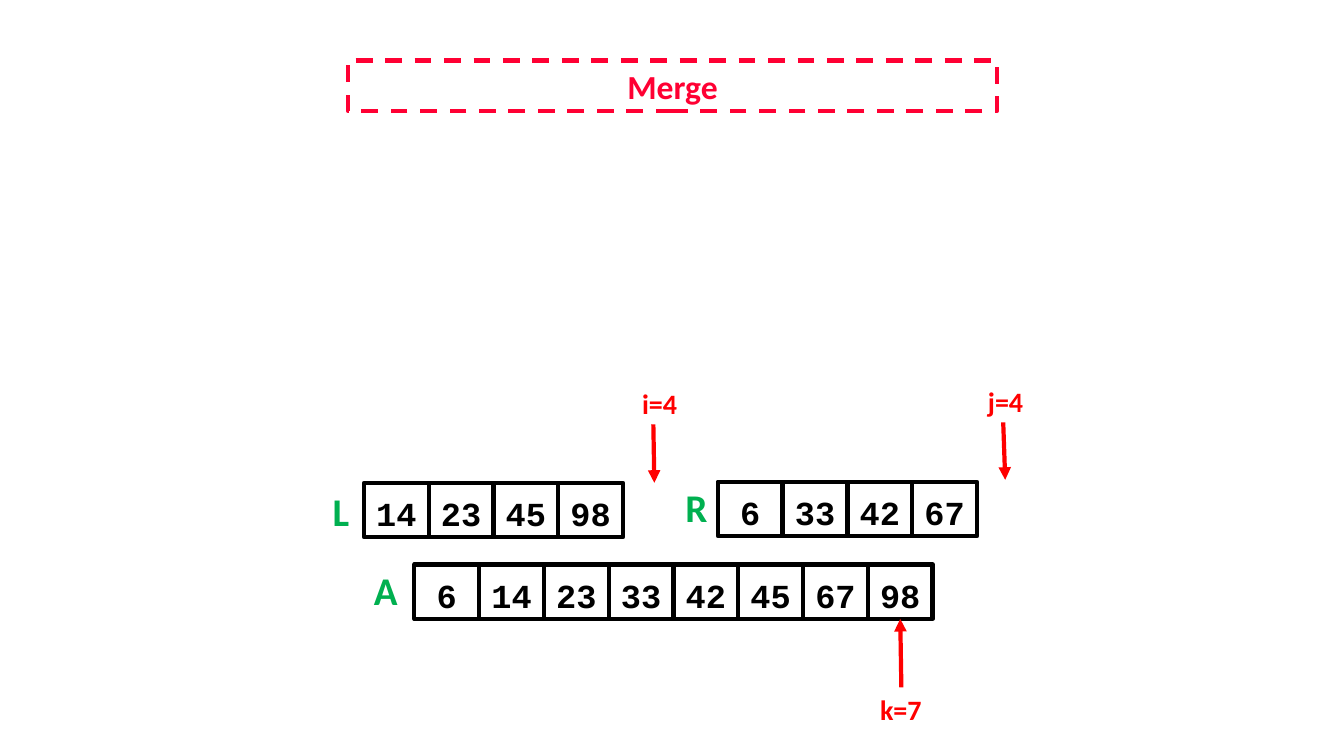
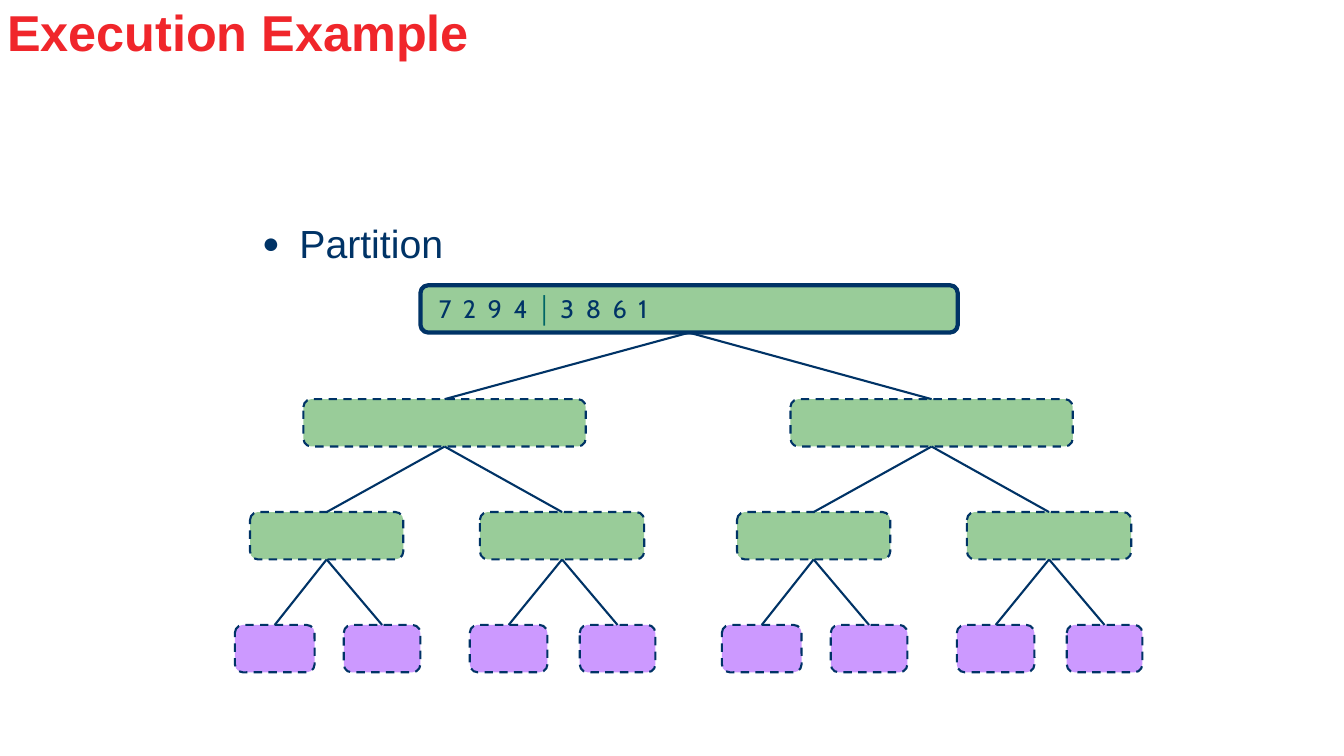
import pptx
import pptx.util
from lxml import etree
from pptx.dml.color import RGBColor
from pptx.enum.dml import MSO_LINE
from pptx.enum.shapes import MSO_CONNECTOR, MSO_SHAPE
from pptx.enum.text import MSO_ANCHOR, MSO_AUTO_SIZE, PP_ALIGN
from pptx.oxml.ns import qn
from pptx.util import Inches

BLACK = RGBColor(0x00, 0x00, 0x00)
RED = RGBColor(0xFF, 0x00, 0x00)
MERGE_RED = RGBColor(0xFF, 0x00, 0x33)
TITLE_RED = RGBColor(0xF0, 0x26, 0x2B)
NAME_GREEN = RGBColor(0x00, 0xB0, 0x50)
NAVY = RGBColor(0x00, 0x33, 0x66)
TEAL = RGBColor(0x00, 0x66, 0x66)
NODE_GREEN = RGBColor(0x99, 0xCC, 0x99)
LEAF_PURPLE = RGBColor(0xCC, 0x99, 0xFF)

CELL_WIDTH = 5.14 / 8
CELL_HEIGHT = 0.54
TOP, BOTTOM = 0, 2

ROOT = (4.17, 5.33)
NODE_HEIGHT = 0.47
LEVEL_TOPS = (2.83, 3.96, 5.08, 6.2)
HALF_OFFSET = 4.83
# Left edge and width of each node in the left half, level by level
HALF_LEVELS = (
    ((3.01, 2.8),),
    ((2.48, 1.52), (4.76, 1.63)),
    ((2.33, 0.79), (3.41, 0.76), (4.66, 0.77), (5.75, 0.75)),
)


def write_text(shape, text, font="Calibri", size=24, color=BLACK, bold=False,
               align=PP_ALIGN.LEFT, spacing=None):
    """Add a formatted run to the first paragraph; spacing is in points."""
    paragraph = shape.text_frame.paragraphs[0]
    paragraph.alignment = align
    run = paragraph.add_run()
    run.text = text
    run.font.name = font
    run.font.size = pptx.util.Pt(size)
    run.font.bold = bold
    run.font.color.rgb = color
    if spacing:
        run.font._element.set("spc", str(round(spacing * 100)))
    return paragraph


def style_line(line, color, width, dashed=False):
    line.color.rgb = color
    line.width = pptx.util.Pt(width)
    if dashed:
        line.dash_style = MSO_LINE.DASH


def place(placeholder, left, top, width, height, anchor=MSO_ANCHOR.TOP):
    placeholder.left, placeholder.top = Inches(left), Inches(top)
    placeholder.width, placeholder.height = Inches(width), Inches(height)
    frame = placeholder.text_frame
    frame.auto_size = MSO_AUTO_SIZE.NONE
    frame.vertical_anchor = anchor


def add_box(slide, kind, left, top, width, height, fill, color, line_width,
            dashed=False):
    shape = slide.shapes.add_shape(kind, Inches(left), Inches(top),
                                   Inches(width), Inches(height))
    shape.shadow.inherit = False
    if fill is None:
        shape.fill.background()
    else:
        shape.fill.solid()
        shape.fill.fore_color.rgb = fill
    style_line(shape.line, color, line_width, dashed)
    return shape


def add_line(slide, color, width, start=(0, 0), end=(0, 0), arrow=False):
    connector = slide.shapes.add_connector(
        MSO_CONNECTOR.STRAIGHT, *(Inches(value) for value in (*start, *end)))
    style_line(connector.line, color, width)
    if arrow:
        outline = connector.line._get_or_add_ln()
        etree.SubElement(outline, qn("a:tailEnd")).set("type", "triangle")
    etree.SubElement(connector._element.spPr, qn("a:effectLst"))
    return connector


def join(connector, start, start_side, end, end_side):
    connector.begin_connect(start, start_side)
    connector.end_connect(end, end_side)


def add_label(slide, text, left, top, width, height, **text_format):
    label = slide.shapes.add_textbox(Inches(left), Inches(top),
                                     Inches(width), Inches(height))
    label.text_frame.word_wrap = False
    write_text(label, text, bold=True, **text_format)
    return label


def add_array(slide, values, left, top):
    """Draw a row of cells and return them."""
    cells = []
    for index, value in enumerate(values):
        cell = add_box(slide, MSO_SHAPE.RECTANGLE, left + index * CELL_WIDTH,
                       top, CELL_WIDTH, CELL_HEIGHT, None, BLACK, 3)
        frame = cell.text_frame
        frame.word_wrap = False
        frame.vertical_anchor = MSO_ANCHOR.TOP
        frame.margin_top = Inches(0.1)
        write_text(cell, str(value), font="Courier New", bold=True,
                   align=PP_ALIGN.CENTER)
        cells.append(cell)
    return cells


def add_bullet(paragraph, character, color, percent, indent):
    properties = paragraph._p.get_or_add_pPr()
    properties.set("marL", str(Inches(indent)))
    properties.set("indent", str(-Inches(indent)))
    bullet_color = etree.SubElement(properties, qn("a:buClr"))
    etree.SubElement(bullet_color, qn("a:srgbClr")).set("val", str(color))
    etree.SubElement(properties, qn("a:buSzPct")).set("val", str(percent * 1000))
    etree.SubElement(properties, qn("a:buFont")).set("typeface", "Arial")
    etree.SubElement(properties, qn("a:buChar")).set("char", character)


def add_node(slide, left, top, width, fill, line_width=1.5, dashed=True):
    return add_box(slide, MSO_SHAPE.ROUNDED_RECTANGLE, left, top, width,
                   NODE_HEIGHT, fill, NAVY, line_width, dashed)


def add_tree(slide):
    """Draw the partition tree, joining each node to its parent."""
    root = add_node(slide, ROOT[0], LEVEL_TOPS[0], ROOT[1], NODE_GREEN,
                    line_width=3, dashed=False)
    root.text_frame.margin_left = Inches(0.16)
    root.text_frame.vertical_anchor = MSO_ANCHOR.MIDDLE
    digits = dict(font="Cabin", size=18, color=NAVY, spacing=2.1)
    write_text(root, "7 2 9 4", **digits)
    write_text(root, " │ ", font="Arial", size=18, color=TEAL, bold=True)
    write_text(root, "3 8 6 1", **digits)

    parents = [root]
    for top, half in zip(LEVEL_TOPS[1:], HALF_LEVELS):
        fill = LEAF_PURPLE if half is HALF_LEVELS[-1] else NODE_GREEN
        nodes = [add_node(slide, left + offset, top, width, fill)
                 for offset in (0, HALF_OFFSET) for left, width in half]
        for index, node in enumerate(nodes):
            join(add_line(slide, NAVY, 1.5), parents[index // 2], BOTTOM,
                 node, TOP)
        parents = nodes


def build_merge_slide(presentation):
    slide = presentation.slides.add_slide(presentation.slide_layouts[5])
    title = slide.shapes.title
    place(title, 3.45, 0.6, 6.44, 0.5)
    style_line(title.line, MERGE_RED, 3, dashed=True)
    write_text(title, "Merge", color=MERGE_RED, bold=True,
               align=PP_ALIGN.CENTER)

    add_array(slide, (14, 23, 45, 98), 3.61, 4.79)
    add_array(slide, (6, 33, 42, 67), 7.12, 4.78)
    merged = add_array(slide, (6, 14, 23, 33, 42, 45, 67, 98), 4.11, 5.6)
    for name, left, top, width in (("L", 3.2, 4.79, 0.37),
                                   ("R", 6.7, 4.75, 0.42),
                                   ("A", 3.61, 5.57, 0.44)):
        add_label(slide, name, left, top, width, 0.57, size=28,
                  color=NAME_GREEN)

    index_format = dict(size=20, color=RED)
    add_label(slide, "i=4", 6.27, 3.79, 0.55, 0.44, **index_format)
    add_label(slide, "j=4", 9.7, 3.77, 0.56, 0.44, **index_format)
    k_label = add_label(slide, "k=7", 8.63, 6.82, 0.62, 0.44, **index_format)
    add_line(slide, RED, 3, (6.48, 4.21), (6.49, 4.79), arrow=True)
    add_line(slide, RED, 3, (9.95, 4.19), (9.97, 4.76), arrow=True)
    join(add_line(slide, RED, 3, arrow=True), k_label, TOP, merged[-1], BOTTOM)


def build_partition_slide(presentation):
    slide = presentation.slides.add_slide(presentation.slide_layouts[1])
    title = slide.shapes.title
    place(title, -0.03, 0.03, 8.75, 0.64, MSO_ANCHOR.BOTTOM)
    heading = write_text(title, "Execution Example", font="Arial", size=36,
                         color=TITLE_RED, bold=True)
    heading.line_spacing = 0.9

    body = slide.placeholders[1]
    place(body, 2.5, 2.13, 8.5, 0.57)
    add_bullet(body.text_frame.paragraphs[0], "●", NAVY, 75, 0.37)
    item = write_text(body, "Partition", font="Arial", size=28, color=NAVY)
    item.space_before = pptx.util.Pt(0)

    add_tree(slide)


def main():
    presentation = pptx.Presentation()
    presentation.slide_width = Inches(13.33)
    presentation.slide_height = Inches(7.5)
    build_merge_slide(presentation)
    build_partition_slide(presentation)
    presentation.save("out.pptx")


if __name__ == "__main__":
    main()
